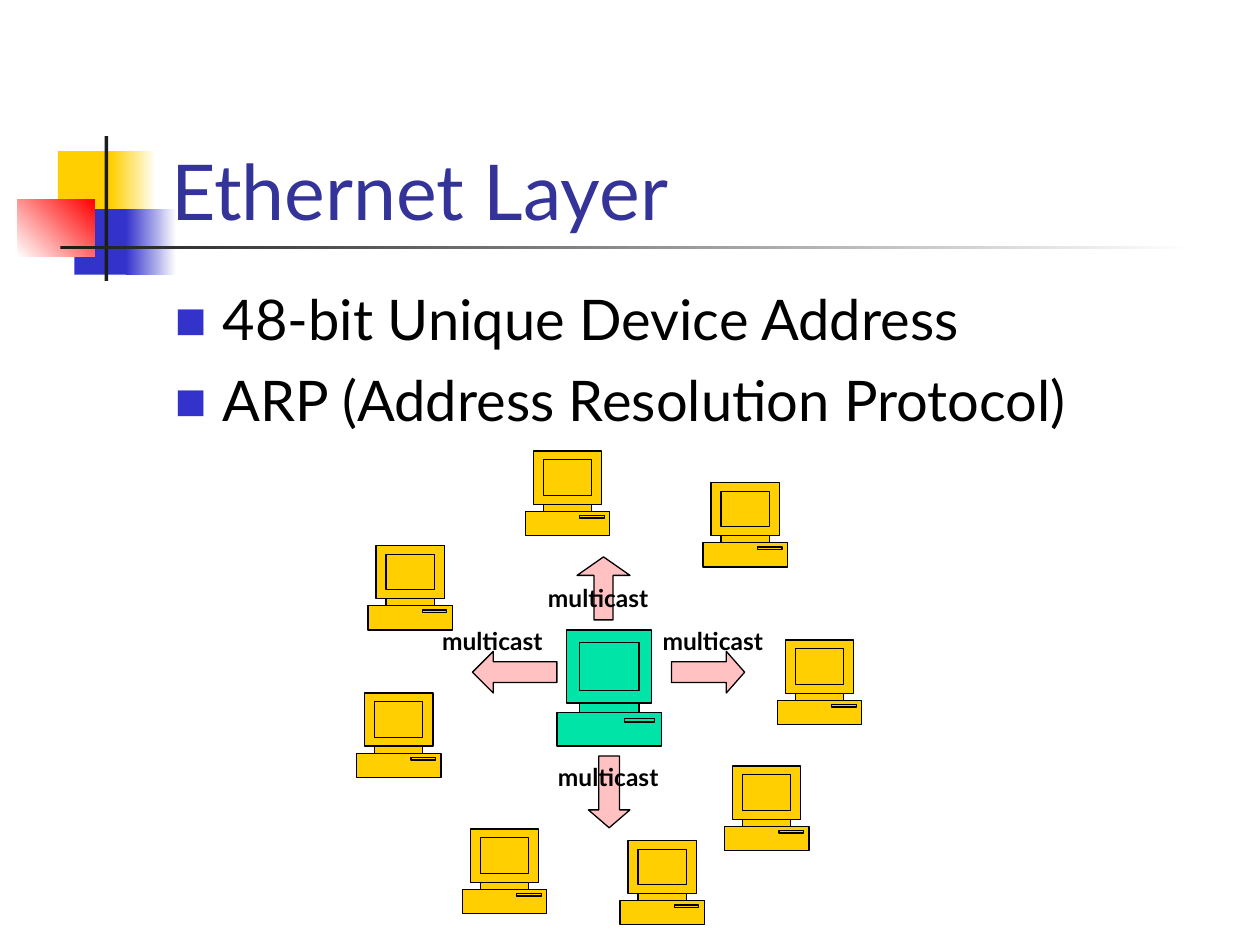
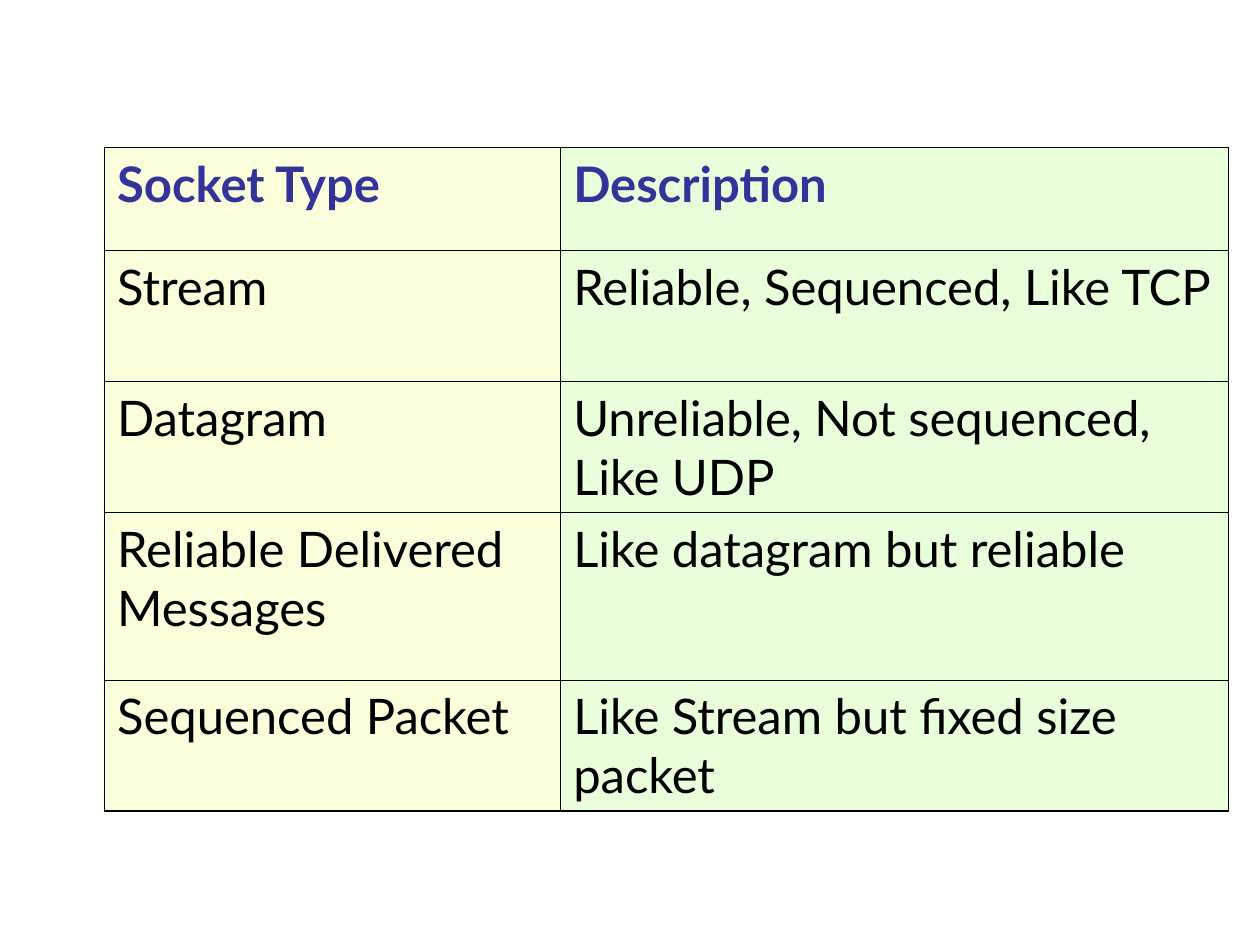
from copy import deepcopy

from lxml import etree
from pptx import Presentation
from pptx.dml.color import RGBColor
from pptx.enum.shapes import MSO_SHAPE
from pptx.enum.text import MSO_ANCHOR, MSO_AUTO_SIZE, PP_ALIGN
from pptx.oxml.ns import qn
from pptx.util import Inches, Pt

RECTANGLE = MSO_SHAPE.RECTANGLE
UP, DOWN = MSO_SHAPE.UP_ARROW, MSO_SHAPE.DOWN_ARROW
LEFT, RIGHT = MSO_SHAPE.LEFT_ARROW, MSO_SHAPE.RIGHT_ARROW
BOTTOM, TOP = MSO_ANCHOR.BOTTOM, MSO_ANCHOR.TOP
FIXED_SIZE, FIT_TEXT = MSO_AUTO_SIZE.NONE, MSO_AUTO_SIZE.SHAPE_TO_FIT_TEXT
ALIGN_LEFT = PP_ALIGN.LEFT

FONT = "Lato"
TITLE_ONLY, BLANK = 5, 6
BLACK = RGBColor(0x00, 0x00, 0x00)
WHITE = RGBColor(0xFF, 0xFF, 0xFF)
INK = RGBColor(0x1C, 0x1C, 0x1C)
YELLOW = RGBColor(0xFF, 0xCF, 0x01)
BLUE = RGBColor(0x33, 0x33, 0xCC)
RED = RGBColor(0xFF, 0x00, 0x00)
HEADING = RGBColor(0x33, 0x33, 0x99)
GREEN = RGBColor(0x00, 0xE4, 0xA8)
PINK = RGBColor(0xFF, 0xC1, 0xC1)
CREAM = RGBColor(0xFB, 0xFE, 0xDA)
MINT = RGBColor(0xE9, 0xFE, 0xDA)

BAND_PARTS = [
    (0.32, 0.12, 0.48, 0.52, [YELLOW], 0),
    (0.74, 0.12, 0.36, 0.52, [YELLOW, WHITE], 0),
    (0.45, 0.58, 0.46, 0.52, [BLUE], 0),
    (0.86, 0.58, 0.4, 0.52, [BLUE, WHITE], 0),
    (0, 0.5, 0.61, 0.46, [WHITE, RED], 45),
    (0.69, 0, 0.03, 1.15, [INK], 0),
    (0.34, 0.87, 9, 0.03, [INK, WHITE], 0),
]

CASE = [
    (0.785, 0.715), (0.785, 0.63), (0.905, 0.63), (0.905, 0), (0.095, 0), (0.095, 0.63),
    (0.215, 0.63), (0.215, 0.715), (0, 0.715), (0, 1), (1, 1), (1, 0.715),
]
NECK = (0.215, 0.63, 0.785, 0.715)
SCREEN = (0.215, 0.105, 0.785, 0.525)
SLOT = (0.645, 0.765, 0.935, 0.795)

STATIONS = [
    (1.34, 0), (2.75, 0.25), (3.34, 1.5), (2.92, 2.5),
    (2.09, 3.09), (0.84, 3), (0, 1.92), (0.09, 0.75),
]
MULTICASTS = [
    (UP, (1.75, 0.84, 0.42, 0.5), (0.36, 0.35), (1.42, 1)),
    (LEFT, (0.92, 1.59, 0.67, 0.33), (0.5, 0.5), (0.58, 1.34)),
    (RIGHT, (2.5, 1.59, 0.58, 0.33), (0.5, 0.44), (2.33, 1.34)),
    (DOWN, (1.84, 2.42, 0.33, 0.57), (0.5, 0.43), (1.5, 2.42)),
]

SOCKET_TYPES = [
    ("Socket Type", "Description"),
    ("Stream", "Reliable, Sequenced, Like TCP"),
    ("Datagram", "Unreliable, Not sequenced, Like UDP"),
    ("Reliable Delivered Messages", "Like datagram but reliable"),
    ("Sequenced Packet", "Like Stream but fixed size packet"),
]
ROW_HEIGHTS = [0.82, 1.04, 1.04, 1.33, 1.04]
COLUMN_WIDTHS = [3.62, 5.3]


def inches(values):
    """Turn a sequence of numbers into lengths."""
    return [Inches(value) for value in values]


def write(para, text, size, color=BLACK, bold=False):
    """Add one formatted run to a paragraph."""
    para.alignment = ALIGN_LEFT
    span = para.add_run()
    span.text = text
    span.font.name = FONT
    span.font.size = Pt(size)
    span.font.bold = bold
    span.font.color.rgb = color


def paint(shape, colors, angle=0, outlined=False):
    """Fill a shape with one colour or a gradient of two."""
    shape.shadow.inherit = False
    if len(colors) == 1:
        shape.fill.solid()
        shape.fill.fore_color.rgb = colors[0]
    else:
        shape.fill.gradient()
        shape.fill.gradient_angle = angle
        for stop, color in zip(shape.fill.gradient_stops, colors):
            stop.color.rgb = color
    if outlined:
        shape.line.color.rgb = BLACK
        shape.line.width = Pt(0.75)
    else:
        shape.line.fill.background()


def add_band(page, left, top):
    """Draw the coloured squares and rules beside the title."""
    for x, y, width, height, colors, angle in BAND_PARTS:
        box = inches((left + x, top + y, width, height))
        paint(page.shapes.add_shape(RECTANGLE, *box), colors, angle)


def add_title(page, box, text):
    """Place and format the title placeholder."""
    title = page.shapes.title
    title.left, title.top, title.width, title.height = inches(box)
    frame = title.text_frame
    frame.auto_size = FIXED_SIZE
    frame.vertical_anchor = BOTTOM
    write(frame.paragraphs[0], text, 44, HEADING)


def add_bullet(para):
    """Give a paragraph a hanging square bullet."""
    props = para._p.get_or_add_pPr()
    props.set("marL", str(Inches(0.38)))
    props.set("indent", str(-Inches(0.38)))
    color = etree.SubElement(props, qn("a:buClr"))
    etree.SubElement(color, qn("a:srgbClr"), val=str(BLUE))
    etree.SubElement(props, qn("a:buSzPct"), val="60000")
    etree.SubElement(props, qn("a:buFont"), typeface=FONT)
    etree.SubElement(props, qn("a:buChar"), char="■")


def add_points(page, box, points):
    """Write the bulleted points."""
    frame = page.shapes.add_textbox(*inches(box)).text_frame
    frame.word_wrap = True
    frame.vertical_anchor = TOP
    for index, point in enumerate(points):
        para = frame.add_paragraph() if index else frame.paragraphs[0]
        para.space_before = Pt(8)
        add_bullet(para)
        write(para, point, 32)


def corners(left, top, right, bottom):
    """List the corners of a rectangle."""
    return [(left, top), (right, top), (right, bottom), (left, bottom)]


def split_contours(shape):
    """Give every contour its own outline, so none cuts a hole."""
    outline = shape.element.find(".//" + qn("a:path"))
    contours = []
    for step in list(outline):
        if step.tag == qn("a:moveTo"):
            contours.append([])
        contours[-1].append(step)
    for contour in contours[1:]:
        extra = deepcopy(outline)
        for step in list(extra):
            extra.remove(step)
        extra.extend(contour)
        outline.getparent().append(extra)


def add_computer(page, box, color):
    """Draw a desktop computer that fills the box."""
    left, top, width, height = box
    builder = None
    for contour in [CASE] + [corners(*part) for part in (NECK, SCREEN, SLOT)]:
        start, *others = [inches((left + x * width, top + y * height)) for x, y in contour]
        if builder is None:
            builder = page.shapes.build_freeform(*start)
        else:
            builder.move_to(*start)
        builder.add_line_segments(others, close=True)
    computer = builder.convert_to_shape()
    split_contours(computer)
    paint(computer, [color], outlined=True)


def add_label(page, left, top):
    """Write the name of a message beside its arrow."""
    frame = page.shapes.add_textbox(*inches((left, top, 1.12, 0.34))).text_frame
    frame.word_wrap = False
    frame.auto_size = FIT_TEXT
    write(frame.paragraphs[0], "multicast", 14, bold=True)


def add_network(page, left, top):
    """Draw the sender, its arrows and the stations around it."""
    add_computer(page, (left + 1.59, top + 1.42, 0.83, 0.92), GREEN)
    for x, y in STATIONS:
        add_computer(page, (left + x, top + y, 0.67, 0.67), YELLOW)
    for kind, (x, y, width, height), adjustments, _ in MULTICASTS:
        arrow = page.shapes.add_shape(kind, *inches((left + x, top + y, width, height)))
        for index, value in enumerate(adjustments):
            arrow.adjustments[index] = value
        paint(arrow, [PINK], outlined=True)
    for *_, (x, y) in MULTICASTS:
        add_label(page, left + x, top + y)


def add_borders(cell, outer_sides):
    """Rule a cell, with heavier lines on the outer sides."""
    props = cell._tc.get_or_add_tcPr()
    for index, side in enumerate("LRTB"):
        width = Pt(1.08 if side in outer_sides else 0.45)
        line = etree.Element(qn("a:ln" + side), w=str(width))
        fill = etree.SubElement(line, qn("a:solidFill"))
        etree.SubElement(fill, qn("a:srgbClr"), val=str(BLACK))
        props.insert(index, line)


def add_socket_table(page, left, top):
    """Build the table of socket types."""
    box = inches((left, top, sum(COLUMN_WIDTHS), sum(ROW_HEIGHTS)))
    table = page.shapes.add_table(len(ROW_HEIGHTS), len(COLUMN_WIDTHS), *box).table
    table.first_row = table.horz_banding = False
    for column, width in zip(table.columns, COLUMN_WIDTHS):
        column.width = Inches(width)
    for row, height in zip(table.rows, ROW_HEIGHTS):
        row.height = Inches(height)
    last = len(SOCKET_TYPES) - 1
    for row, texts in enumerate(SOCKET_TYPES):
        for column, text in enumerate(texts):
            cell = table.cell(row, column)
            cell.fill.solid()
            cell.fill.fore_color.rgb = (CREAM, MINT)[column]
            add_borders(cell, "LR"[column] + {0: "T", last: "B"}.get(row, ""))
            para = cell.text_frame.paragraphs[0]
            para.space_before = Pt(7)
            header = row == 0
            write(para, text, 28, HEADING if header else BLACK, header)


def build_ethernet_slide(deck):
    """Add the slide on the Ethernet layer."""
    page = deck.slides.add_slide(deck.slide_layouts[TITLE_ONLY])
    add_band(page, 0.14, 1.08)
    add_title(page, (1.26, 0.67, 8.52, 1.25), "Ethernet Layer")
    points = ["48-bit Unique Device Address", "ARP (Address Resolution Protocol)"]
    add_points(page, (1.29, 2.21, 8.5, 4.5), points)
    add_network(page, 2.83, 3.58)


def build_socket_slide(deck):
    """Add the slide with the socket types."""
    page = deck.slides.add_slide(deck.slide_layouts[BLANK])
    add_socket_table(page, 0.83, 1.17)


def main():
    """Build the deck and save it."""
    deck = Presentation()
    deck.slide_width, deck.slide_height = inches((10, 7.5))
    build_ethernet_slide(deck)
    build_socket_slide(deck)
    deck.save("out.pptx")


if __name__ == "__main__":
    main()
